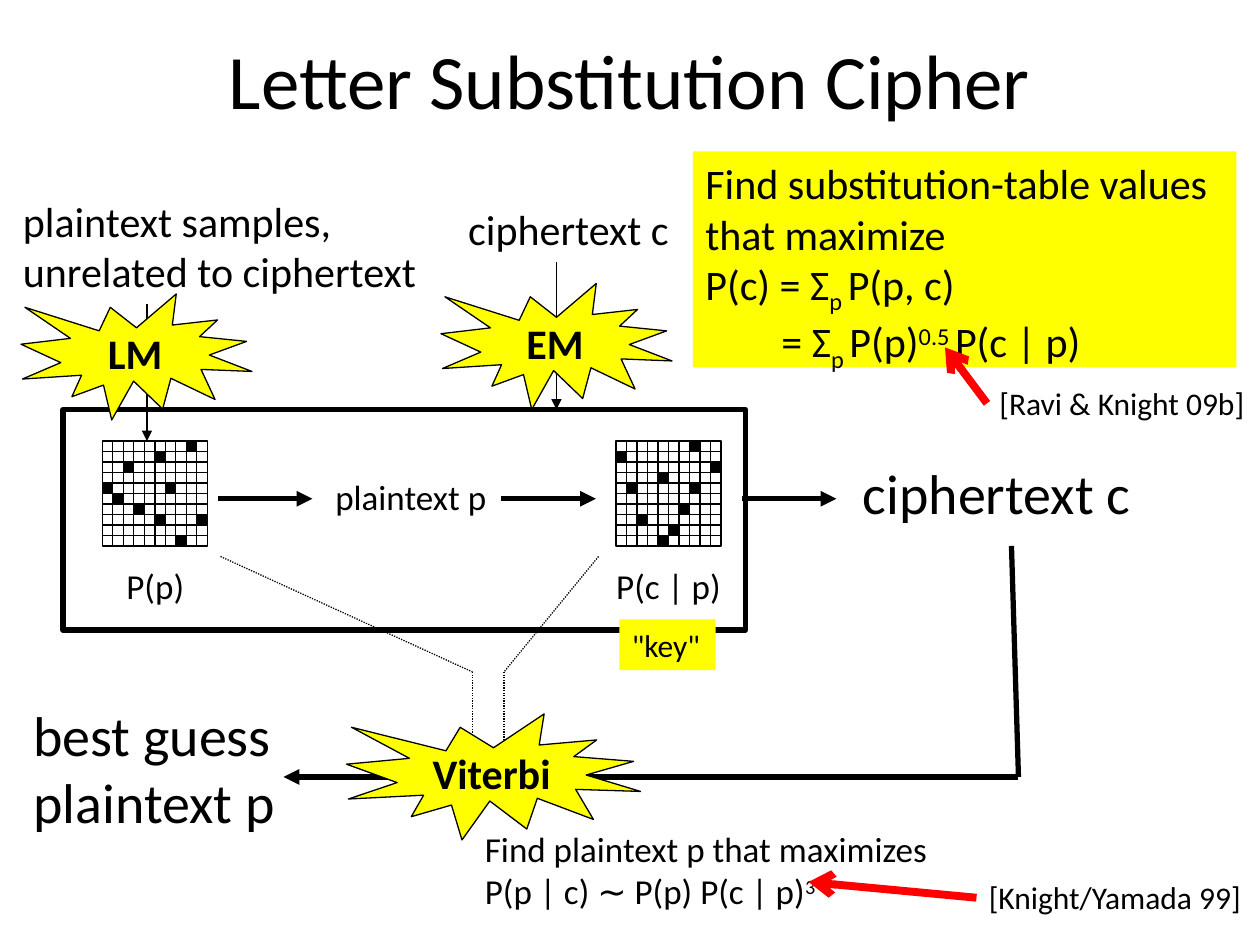
from lxml import etree
from pptx import Presentation
from pptx.dml.color import RGBColor
from pptx.enum.dml import MSO_LINE
from pptx.enum.shapes import MSO_CONNECTOR, MSO_SHAPE
from pptx.enum.text import MSO_ANCHOR, PP_ALIGN
from pptx.oxml.ns import qn
from pptx.util import Pt

BLACK = RGBColor(0x00, 0x00, 0x00)
YELLOW = RGBColor(0xFF, 0xFF, 0x00)
RED = RGBColor(0xFF, 0x00, 0x00)
FONT = "Calibri"
STRAIGHT = MSO_CONNECTOR.STRAIGHT
DOTTED = MSO_LINE.ROUND_DOT
RECT = MSO_SHAPE.RECTANGLE
BURST = MSO_SHAPE.EXPLOSION1
LEFT, CENTER = PP_ALIGN.LEFT, PP_ALIGN.CENTER
TOP, MIDDLE = MSO_ANCHOR.TOP, MSO_ANCHOR.MIDDLE
SUB, SUPER = -25000, 30000
GRID_CELLS = 10
GRID_SIZE = 60
LM_CELLS = [(8, 0), (5, 1), (2, 2), (0, 4), (6, 4), (1, 5), (3, 6), (5, 7), (9, 7), (7, 9)]
KEY_CELLS = [(7, 0), (0, 1), (9, 2), (4, 3), (1, 4), (7, 4), (6, 6), (2, 7), (5, 8), (4, 9)]


def add_line(shapes, x1, y1, x2, y2, width=0.75, color=BLACK, arrow=None, dash=None):
    """Draw a straight line, with an optional arrowhead at its end."""
    line = shapes.add_connector(STRAIGHT, Pt(x1), Pt(y1), Pt(x2), Pt(y2))
    line.line.width = Pt(width)
    line.line.color.rgb = color
    if dash:
        line.line.dash_style = dash
    if arrow:
        etree.SubElement(line.line._get_or_add_ln(), qn("a:tailEnd"), type=arrow)
    etree.SubElement(line._element.spPr, qn("a:effectLst"))
    return line


def add_box(shapes, x, y, w, h, kind=RECT, fill=None, width=0.75):
    """Draw a preset shape; a width of zero leaves out its outline."""
    sp = shapes.add_shape(kind, Pt(x), Pt(y), Pt(w), Pt(h))
    sp.shadow.inherit = False
    if fill is None:
        sp.fill.background()
    else:
        sp.fill.solid()
        sp.fill.fore_color.rgb = fill
    if width:
        sp.line.width = Pt(width)
        sp.line.color.rgb = BLACK
    else:
        sp.line.fill.background()
    return sp


def write(sp, paragraphs, size=24, bold=False, align=LEFT, anchor=TOP, indents=()):
    """Fill a shape with paragraphs of strings or of (text, baseline) runs."""
    tf = sp.text_frame
    tf.word_wrap = False
    tf.vertical_anchor = anchor
    for i, runs in enumerate(paragraphs):
        p = tf.paragraphs[0] if i == 0 else tf.add_paragraph()
        p.alignment = align
        if i < len(indents) and indents[i]:
            p._p.get_or_add_pPr().set("marL", str(Pt(indents[i])))
        for content, baseline in [(runs, 0)] if isinstance(runs, str) else runs:
            r = p.add_run()
            r.text = content
            r.font.name = FONT
            r.font.size = Pt(size)
            r.font.bold = bold
            r.font.color.rgb = BLACK
            if baseline:
                r.font._element.set("baseline", str(baseline))
    return sp


def add_text(shapes, x, y, w, h, *paragraphs, **fmt):
    """Add a text box."""
    return write(shapes.add_textbox(Pt(x), Pt(y), Pt(w), Pt(h)), paragraphs, **fmt)


def add_burst(shapes, x, y, w, label):
    """Add a yellow burst that names an algorithm."""
    sp = add_box(shapes, x, y, w, 72, BURST, YELLOW)
    write(sp, [label], bold=True, align=CENTER, anchor=MIDDLE)


def add_grid(shapes, x, y, size, cells):
    """Add a square probability table with some cells filled."""
    grid = shapes.add_group_shape().shapes
    step = size / GRID_CELLS
    add_box(grid, x, y, size, size)
    for i in range(1, GRID_CELLS):
        add_line(grid, x, y + i * step, x + size, y + i * step)
        add_line(grid, x + i * step, y, x + i * step, y + size)
    for col, row in cells:
        add_box(grid, x + col * step, y + row * step, step, step, fill=BLACK)


def add_model(shapes, x, y, w, h):
    """Add the framed generative model and the ciphertext it emits."""
    mid = y + 51
    add_grid(shapes, x + 22.5, y + 18, GRID_SIZE, LM_CELLS)
    add_grid(shapes, x + 316, y + 18, GRID_SIZE, KEY_CELLS)
    for start in (88.5, 250.5, 388):
        add_line(shapes, x + start, mid, x + start + 54, mid, 3, arrow="triangle")
    add_text(shapes, x + 148.5, mid - 17, 101.5, 31, "plaintext p", size=20)
    add_text(shapes, x + 29, y + 85, 47.5, 31, "P(p)", size=20, align=CENTER)
    add_text(shapes, x + 309, y + 85, 74, 31, "P(c | p)", size=20, align=CENTER)
    add_text(shapes, x + 450, y + 24.5, 169, 46, "ciphertext c", size=32)
    add_box(shapes, x, y, w, h, width=3)
    key = add_box(shapes, x + 318, y + h - 6, 55, 29, fill=YELLOW, width=0)
    write(key, ['"key"'], size=18)


def add_training(shapes, x, y):
    """Add the training data that feeds the two tables."""
    add_line(shapes, x + 78, y + 66, x + 78, y + 144, arrow="triangle")
    add_line(shapes, x + 312, y + 42, x + 312, y + 126, arrow="triangle")
    add_burst(shapes, x + 246, y + 54, 132, "EM")
    add_burst(shapes, x + 6, y + 60, 132, "LM")
    add_text(shapes, x, y, 240.5, 65, "plaintext samples,", "unrelated to ciphertext")
    add_text(shapes, x + 254.5, y + 5, 130, 36, "ciphertext c")


def add_objective(shapes, x, y, w, h):
    """Add the training objective with its citation."""
    sp = add_box(shapes, x, y, w, h, fill=YELLOW, width=0)
    write(sp, [
        "Find substitution-table values",
        "that maximize",
        [("P(c) = Σ", 0), ("p ", SUB), ("P(p, c)", 0)],
        [("= Σ", 0), ("p ", SUB), ("P(p)", 0), ("0.5 ", SUPER), ("P(c | p)", 0)],
    ], indents=(0, 0, 0, 43.5))
    add_line(shapes, x + 168, y + 144, x + 144, y + 112, 4.5, RED, "arrow")
    add_text(shapes, x + 168, y + 129.5, 156, 29, "[Ravi & Knight 09b]", size=18)


def add_decoding(shapes, x, y):
    """Add the decoding step that returns the best plaintext."""
    base = y + 132
    add_line(shapes, x + 566, y, x + 570, base, 3)
    add_line(shapes, x + 570, base, x + 318, base, 3)
    add_line(shapes, x + 216, base, x + 150, base, 3, arrow="triangle")
    for start, turn in ((114, 258), (330, 276)):
        add_line(shapes, x + start, y + 6, x + turn, y + 72, dash=DOTTED)
        add_line(shapes, x + turn, y + 72, x + turn, y + 120, arrow="triangle", dash=DOTTED)
    add_burst(shapes, x + 186, y + 96, 168, "Viterbi")
    add_text(shapes, x, y + 84.5, 154, 85, "best guess", "plaintext p", size=32)
    add_text(shapes, x + 258, y + 157.5, 270, 55.5, "Find plaintext p that maximizes",
             [("P(p | c) ∼ P(p) P(c | p)", 0), ("3", SUPER)], size=20)
    add_line(shapes, x + 546, y + 201, x + 450, y + 192, 4.5, RED, "arrow")
    add_text(shapes, x + 546, y + 186, 160, 29, "[Knight/Yamada 99]", size=18)


def main():
    """Build the slide."""
    prs = Presentation()
    prs.slide_width, prs.slide_height = Pt(720), Pt(540)
    shapes = prs.slides.add_slide(prs.slide_layouts[6]).shapes
    add_text(shapes, 54, 0, 612, 90, "Letter Substitution Cipher",
             size=44, align=CENTER, anchor=MIDDLE)
    add_model(shapes, 36, 234, 390, 126)
    add_objective(shapes, 396, 86.5, 310.5, 123.5)
    add_decoding(shapes, 12, 312)
    add_training(shapes, 6, 108)
    prs.save("out.pptx")


if __name__ == "__main__":
    main()
